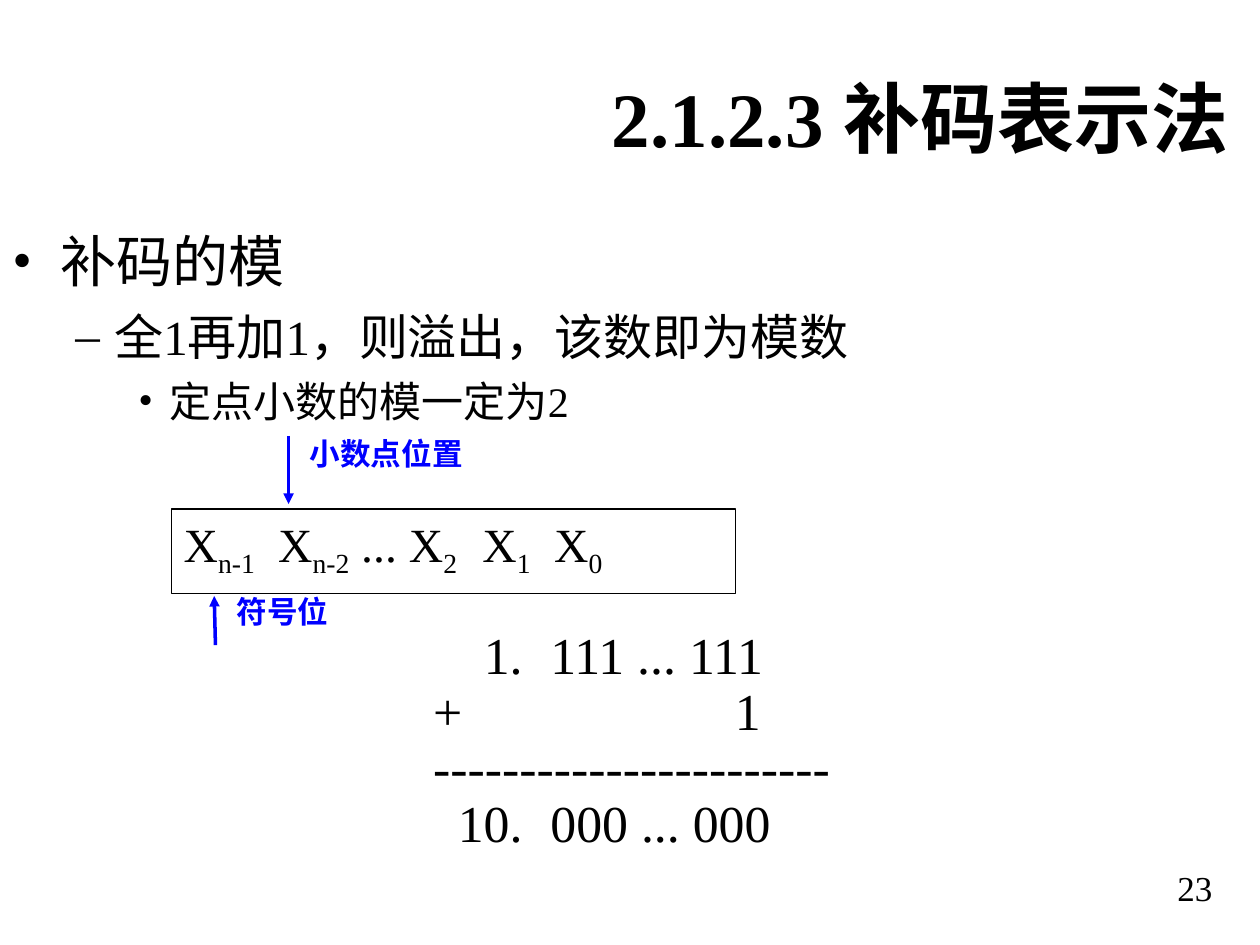
from lxml.etree import SubElement
from pptx import Presentation
from pptx.dml.color import RGBColor
from pptx.enum.shapes import MSO_CONNECTOR, MSO_SHAPE
from pptx.enum.text import MSO_ANCHOR, PP_ALIGN
from pptx.oxml.ns import qn
from pptx.util import Inches, Pt

FONT, BLACK, BLUE, WHITE = "Times New Roman", "000000", "0000FF", "FFFFFF"

# Content
TITLE = "2.1.2.3 补码表示法"
# text, size, bullet, left margin, hanging indent, space before
POINTS = [
    ("补码的模", 32, "•", 0.38, 0.38, 0),
    ("全1再加1，则溢出，该数即为模数", 28, "–", 0.81, 0.31, 7),
    ("定点小数的模一定为2", 24, "•", 1.25, 0.25, 6),
]
# lead text, subscript
BITS = [("X", "n-1"), ("\tX", "n-2"), (" ... X", "2"), ("\tX", "1"), ("\tX", "0")]
BIT_TABS = [(0.75, "l"), (2.37, "l"), (2.94, "l")]
NUM_TABS = [(0.71, "r"), (0.93, "l")]
SUM = [
    ("\t1.\t111 ... 111", NUM_TABS),
    ("+\t1", [(2.6, "r")]),
    ("-" * 23, []),
    ("\t10.\t000 ... 000", NUM_TABS),
]
LABELS = [
    ("小数点位置", (2.36, 3.46, 2.43, 0.42)),
    ("符号位", (1.78, 4.71, 1.92, 0.42)),
]
ARROWS = [(2.29, 3.46, 2.29, 4), (1.71, 5.12, 1.7, 4.73)]


def color(code):
    return RGBColor.from_string(code)


def style(para, size, code=BLACK, bold=False, align=PP_ALIGN.JUSTIFY, lead=None):
    para.alignment = align
    if lead:
        para.line_spacing = lead
    font = para.font
    font.name, font.size, font.bold = FONT, Pt(size), bold
    font.color.rgb = color(code)


def add_tabs(para, stops):
    if stops:
        tabs = SubElement(para._p.get_or_add_pPr(), qn("a:tabLst"))
        for pos, side in stops:
            SubElement(tabs, qn("a:tab"), pos=str(Inches(pos)), algn=side)


def add_bullet(para, mark, left, hang):
    props = para._p.get_or_add_pPr()
    props.set("marL", str(Inches(left)))
    props.set("indent", str(-Inches(hang)))
    SubElement(props, qn("a:buFont"), typeface=FONT)
    SubElement(props, qn("a:buChar"), char=mark)


def add_box(slide, place):
    frame = slide.shapes.add_textbox(*map(Inches, place)).text_frame
    frame.word_wrap = True
    return frame


def next_para(frame, index):
    return frame.add_paragraph() if index else frame.paragraphs[0]


deck = Presentation()
deck.slide_width, deck.slide_height = Inches(10), Inches(7.5)
slide = deck.slides.add_slide(deck.slide_layouts[5])

# Title
title = slide.shapes.title
title.left, title.top, title.width, title.height = map(Inches, (0, 0.3, 10, 1.25))
frame = title.text_frame
frame.text = TITLE
frame.vertical_anchor = MSO_ANCHOR.MIDDLE
frame.margin_right = Inches(0.25)
style(frame.paragraphs[0], 44, bold=True, align=PP_ALIGN.RIGHT)

# Bullet points
frame = add_box(slide, (0, 1.75, 10, 4.95))
for i, (text, size, mark, left, hang, before) in enumerate(POINTS):
    para = next_para(frame, i)
    para.text, para.level = text, i
    add_bullet(para, mark, left, hang)
    para.space_before = Pt(before)
    style(para, size)

# Slide number
para = add_box(slide, (7.39, 6.83, 2.33, 0.52)).paragraphs[0]
para.text = "23"
style(para, 20, align=PP_ALIGN.RIGHT)

# Register with its bits
word = slide.shapes.add_shape(
    MSO_SHAPE.RECTANGLE, *map(Inches, (1.36, 4.04, 4.48, 0.67)))
word.shadow.inherit = False
word.fill.solid()
word.fill.fore_color.rgb = color(WHITE)
word.line.color.rgb = color(BLACK)
word.line.width = Pt(0.75)
word.text_frame.vertical_anchor = MSO_ANCHOR.TOP
para = word.text_frame.paragraphs[0]
add_tabs(para, BIT_TABS)
style(para, 27.2, lead=0.9)
for lead, sub in BITS:
    para.add_run().text = lead
    run = para.add_run()
    run.text = sub
    run.font._element.set("baseline", "-25000")

# Arrows and their labels
for ends in ARROWS:
    arrow = slide.shapes.add_connector(MSO_CONNECTOR.STRAIGHT, *map(Inches, ends))
    arrow.line.color.rgb = color(BLUE)
    arrow.line.width = Pt(2)
    SubElement(arrow.line._get_or_add_ln(), qn("a:tailEnd"), type="triangle")
    SubElement(arrow._element.spPr, qn("a:effectLst"))
for text, place in LABELS:
    para = add_box(slide, place).paragraphs[0]
    para.text = text
    style(para, 17.5, BLUE, bold=True, lead=0.8)

# Worked sum
frame = add_box(slide, (3.34, 4.95, 5.5, 2.17))
for i, (text, stops) in enumerate(SUM):
    para = next_para(frame, i)
    para.text = text
    add_tabs(para, stops)
    style(para, 29.6, lead=0.9)

deck.save("out.pptx")
